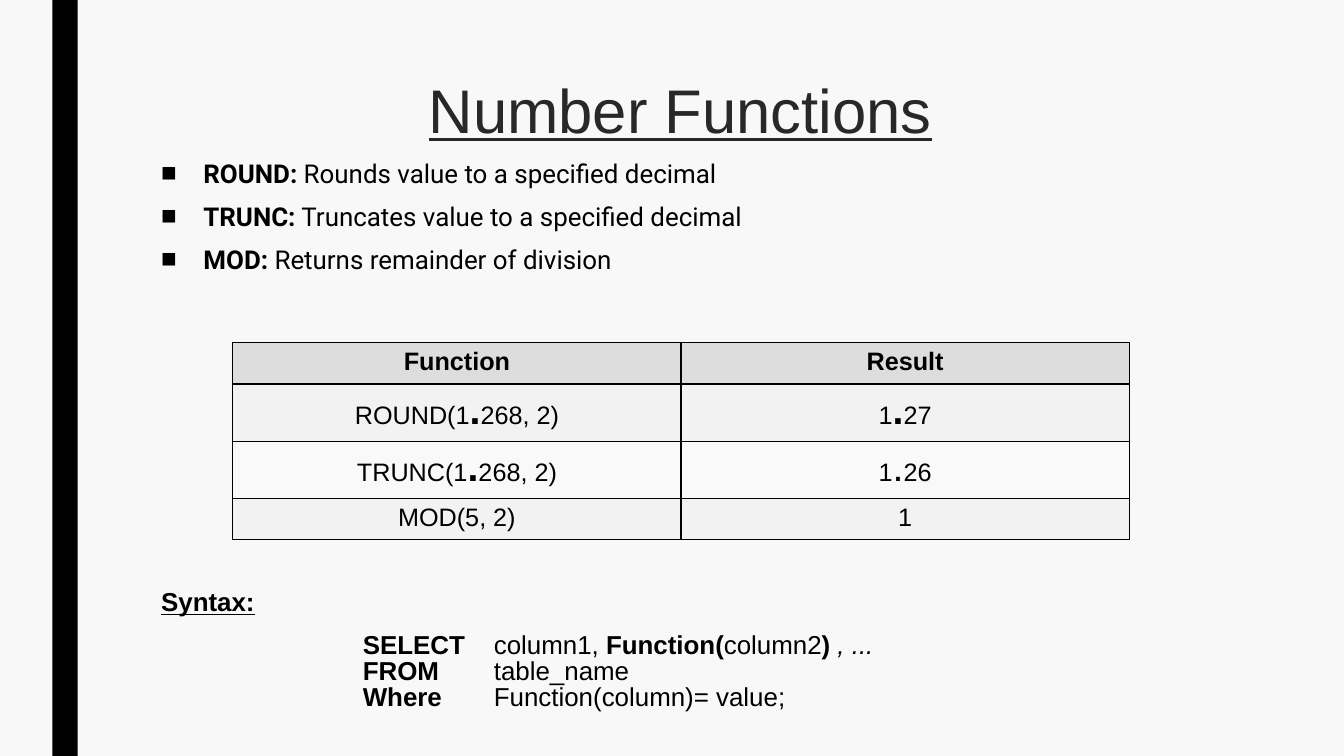
from lxml import etree
from pptx import Presentation
from pptx import util as u
from pptx.dml.color import RGBColor
from pptx.enum import shapes, text
from pptx.oxml.ns import qn

BLACK = RGBColor(0x00, 0x00, 0x00)
INK = RGBColor(0x28, 0x28, 0x29)
PAPER = RGBColor(0xF8, 0xF8, 0xF8)
HEAD = RGBColor(0xDD, 0xDD, 0xDD)
BANDS = [RGBColor(0xF2, 0xF2, 0xF2), RGBColor(0xF9, 0xF9, 0xF9)]

BULLETS = [
    ("ROUND:", " Rounds value to a specified decimal"),
    ("TRUNC:", " Truncates value to a specified decimal"),
    ("MOD:", " Returns remainder of division"),
]
# Styles: b bold, i italic, u underline, l large
QUERY = [
    ("\tSELECT", "b"), ("\tcolumn1, ", ""), ("Function(", "b"),
    ("column2", ""), (") ", "b"), (", ...", "i"), ("\n", ""),
    ("\tFROM", "b"), ("\ttable_name", ""), ("\n", ""),
    ("\tWhere", "b"), ("\tFunction(column)= value;", ""),
]
ROWS = [
    ([("Function", "b")], [("Result", "b")]),
    ([("ROUND(1", ""), (".", "bl"), ("268, 2)", "")],
     [("1", ""), (".", "bl"), ("27", "")]),
    ([("TRUNC(1", ""), (".", "bl"), ("268, 2)", "")],
     [("1", ""), (".", "l"), ("26", "")]),
    ([("MOD(5, 2)", "")], [("1", "")]),
]
HEIGHTS = [0.41, 0.54, 0.54, 0.41]


def box(place):
    """Turn four numbers in inches into lengths."""
    return [u.Inches(n) for n in place]


def style(run, size, font, color=BLACK, marks=""):
    """Format one run; marks holds the letters b, i and u."""
    run.font.size = u.Pt(size)
    run.font.name = font
    run.font.color.rgb = color
    run.font.bold = "b" in marks
    run.font.italic = "i" in marks
    run.font.underline = "u" in marks


def write(par, parts, size=18, font="Arial"):
    """Fill a paragraph with styled runs and line breaks."""
    for words, marks in parts:
        if words == "\n":
            par.add_line_break()
            continue
        run = par.add_run()
        run.text = words
        style(run, 28 if "l" in marks else size, font, marks=marks)


def add_title(slide, words, place):
    """Place and format the title."""
    title = slide.shapes.title
    title.left, title.top, title.width, title.height = box(place)
    frame = title.text_frame
    frame.text = words
    frame.auto_size = text.MSO_AUTO_SIZE.NONE
    frame.vertical_anchor = text.MSO_ANCHOR.TOP
    par = frame.paragraphs[0]
    par.alignment = text.PP_ALIGN.CENTER
    par.line_spacing = 0.89
    style(par.runs[0], 44, "Arial", INK, "u")


def add_bar(slide, place):
    """Draw the black side bar."""
    bar = slide.shapes.add_shape(shapes.MSO_SHAPE.RECTANGLE, *box(place))
    bar.shadow.inherit = False
    bar.fill.solid()
    bar.fill.fore_color.rgb = BLACK
    bar.line.fill.background()


def add_text(slide, place, count):
    """Add a text box and return its spaced paragraphs."""
    frame = slide.shapes.add_textbox(*box(place)).text_frame
    frame.word_wrap = True
    pars = [frame.paragraphs[0]]
    pars += [frame.add_paragraph() for _ in range(count - 1)]
    for par in pars:
        par.line_spacing = 0.84
        par.space_before = u.Pt(10)
        par.space_after = u.Pt(2)
    return pars


def set_bullet(par):
    """Give a paragraph a square bullet and a hanging indent."""
    props = par._p.get_or_add_pPr()
    hang = u.Inches(0.42)
    props.set("marL", str(hang))
    props.set("indent", str(-hang))
    etree.SubElement(props, qn("a:buFont"), typeface="Arial")
    etree.SubElement(props, qn("a:buChar"), char="■")


def set_tabs(par, stops):
    """Set left tab stops, given in inches."""
    tabs = etree.SubElement(par._p.get_or_add_pPr(), qn("a:tabLst"))
    for stop in stops:
        etree.SubElement(tabs, qn("a:tab"), pos=str(u.Inches(stop)), algn="l")


def set_edges(cell):
    """Draw a thin black line on each side of a cell."""
    props = cell._tc.get_or_add_tcPr()
    for spot, side in enumerate(("lnL", "lnR", "lnT", "lnB")):
        line = etree.Element(qn("a:" + side), w=str(u.Pt(1)))
        fill = etree.SubElement(line, qn("a:solidFill"))
        etree.SubElement(fill, qn("a:srgbClr"), val=str(BLACK))
        props.insert(spot, line)


def add_grid(slide, place):
    """Add the table of calls and results."""
    table = slide.shapes.add_table(len(ROWS), 2, *box(place)).table
    for r, row in enumerate(ROWS):
        table.rows[r].height = u.Inches(HEIGHTS[r])
        for c, parts in enumerate(row):
            cell = table.cell(r, c)
            cell.fill.solid()
            cell.fill.fore_color.rgb = BANDS[(r - 1) % 2] if r else HEAD
            set_edges(cell)
            par = cell.text_frame.paragraphs[0]
            par.alignment = text.PP_ALIGN.CENTER
            write(par, parts)


def main():
    """Build and save the slide."""
    deck = Presentation()
    deck.slide_width, deck.slide_height = u.Inches(13.33), u.Inches(7.5)
    slide = deck.slides.add_slide(deck.slide_layouts[5])
    slide.background.fill.solid()
    slide.background.fill.fore_color.rgb = PAPER

    add_bar(slide, (0.52, 0, 0.25, 7.5))
    add_title(slide, "Number Functions", (1.5, 0.75, 10.5, 0.8))

    pars = add_text(slide, (1.5, 1.56, 10.5, 1.3), len(BULLETS))
    for par, (name, note) in zip(pars, BULLETS):
        set_bullet(par)
        write(par, [(name, "b"), (note, "")], 18.5, "Roboto")

    add_grid(slide, (2.31, 3.4, 8.89, sum(HEIGHTS)))

    label, query = add_text(slide, (1.5, 5.81, 10.5, 1.4), 2)
    write(label, [("Syntax:", "bu")], 18.5)
    set_tabs(query, (2, 3.3))
    write(query, QUERY, 18.5)

    deck.save("out.pptx")


main()
